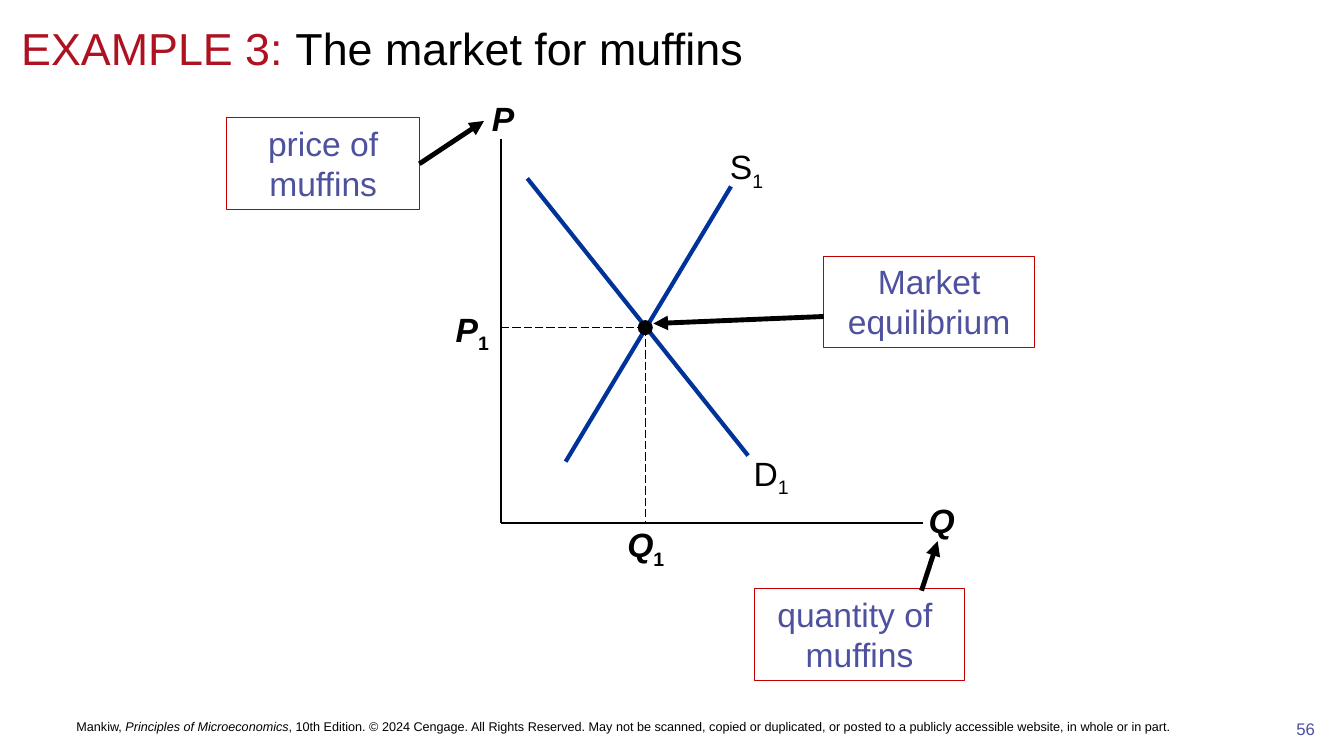
import pptx
import pptx.dml.color
import pptx.enum.dml
import pptx.enum.shapes
import pptx.enum.text
import pptx.oxml.ns
import pptx.util
from lxml import etree

Inches = pptx.util.Inches
Pt = pptx.util.Pt
ALIGN = pptx.enum.text.PP_ALIGN
ANCHOR = pptx.enum.text.MSO_ANCHOR
SHAPE = pptx.enum.shapes.MSO_SHAPE
BLACK, RED, CRIMSON, PURPLE, BLUE = "000000", "C00000", "AE1221", "4E519E", "003399"


def color(value):
    return pptx.dml.color.RGBColor.from_string(value)


def set_font(font, size, value):
    font.name = "Arial"
    font.size = Pt(size)
    font.color.rgb = color(value)


def add_text(slide, box, text, size=24, value=BLACK, align=ALIGN.CENTER, inset=True):
    shape = slide.shapes.add_textbox(*map(Inches, box))
    frame = shape.text_frame
    frame.word_wrap = True
    if not inset:
        frame.margin_left = frame.margin_top = frame.margin_right = frame.margin_bottom = 0
    paragraph = frame.paragraphs[0]
    paragraph.text = text
    paragraph.alignment = align
    set_font(paragraph.font, size, value)
    return shape


def add_symbol(slide, box, letter, subscript="", axis=False, inset=True):
    shape = add_text(slide, box, letter, inset=inset)
    paragraph = shape.text_frame.paragraphs[0]
    paragraph.font.bold = axis
    paragraph.runs[0].font.italic = axis
    if subscript:
        run = paragraph.add_run()
        run.text = subscript
        run._r.get_or_add_rPr().set("baseline", "-25000")


def add_line(slide, start, end, width, value=BLACK, dashed=False, arrow=False):
    line = slide.shapes.add_connector(
        pptx.enum.shapes.MSO_CONNECTOR.STRAIGHT, *map(Inches, (*start, *end)))
    line.line.width = Pt(width)
    line.line.color.rgb = color(value)
    if dashed:
        line.line.dash_style = pptx.enum.dml.MSO_LINE.LONG_DASH
    if arrow:
        tail = etree.SubElement(line.line._get_or_add_ln(), pptx.oxml.ns.qn("a:tailEnd"))
        tail.set("type", "triangle")
    etree.SubElement(line._element.spPr, pptx.oxml.ns.qn("a:effectLst"))
    return line


def build_title(slide, box):
    title = slide.shapes.title
    title.left, title.top, title.width, title.height = map(Inches, box)
    frame = title.text_frame
    frame.auto_size = pptx.enum.text.MSO_AUTO_SIZE.NONE
    frame.vertical_anchor = ANCHOR.MIDDLE
    paragraph = frame.paragraphs[0]
    paragraph.alignment = ALIGN.LEFT
    for text, value in (("EXAMPLE 3: ", CRIMSON), ("The market for muffins", BLACK)):
        run = paragraph.add_run()
        run.text = text
        set_font(run.font, 32, value)


def build_graph(slide, box):
    left, top, width, height = box

    def place(x, y, *size):
        return (left + x, top + y, *size)

    origin = place(0, height)
    add_line(slide, place(0, 0), origin, 1)
    add_line(slide, origin, place(width, height), 1)
    add_symbol(slide, place(-0.21, -0.46, 0.46, 0.5), "P", axis=True)
    add_symbol(slide, place(width - 0.06, height - 0.28, 0.5, 0.5), "Q", axis=True)

    add_line(slide, place(0.26, 0.39), place(2.45, 3.14), 3, BLUE)
    add_symbol(slide, place(2.38, 3.06, 0.6, 0.5), "D", "1")
    add_line(slide, place(0.64, 3.2), place(2.28, 0.47), 3, BLUE)
    add_symbol(slide, place(2.12, 0.02, 0.63, 0.5), "S", "1")

    x, y, diameter = 1.43, 1.87, 0.15
    add_line(slide, place(0, y), place(x, y), 0.75, dashed=True)
    add_line(slide, place(x, y), place(x, height), 0.75, dashed=True)
    dot = slide.shapes.add_shape(SHAPE.OVAL, *map(Inches, place(
        x - diameter / 2, y - diameter / 2, diameter, diameter)))
    dot.shadow.inherit = False
    dot.fill.solid()
    dot.fill.fore_color.rgb = color(BLACK)
    dot.line.fill.background()
    add_symbol(slide, place(-0.55, y - 0.19, 0.53, 0.4), "P", "1", axis=True, inset=False)
    add_symbol(slide, place(x - 0.26, height + 0.01, 0.53, 0.4), "Q", "1", axis=True, inset=False)


def build_callout(slide, box, text, start, end, side=None):
    left, top = box[:2]
    callout = slide.shapes.add_shape(SHAPE.RECTANGLE, *map(Inches, box))
    callout.shadow.inherit = False
    callout.fill.background()
    callout.line.color.rgb = color(RED)
    callout.line.width = Pt(0.75)
    frame = callout.text_frame
    frame.word_wrap = True
    frame.vertical_anchor = ANCHOR.TOP
    paragraph = frame.paragraphs[0]
    paragraph.text = text
    paragraph.alignment = ALIGN.CENTER
    set_font(paragraph.font, 24, PURPLE)
    arrow = add_line(slide, (left + start[0], top + start[1]),
                     (left + end[0], top + end[1]), 3.5, arrow=True)
    if side is not None:
        arrow.begin_connect(callout, side)


def build_footer(slide, box):
    left, top, width, height = box
    credit = add_text(slide, (left, top, width - 0.56, height), "", 9, align=ALIGN.LEFT)
    credit.text_frame.vertical_anchor = ANCHOR.MIDDLE
    paragraph = credit.text_frame.paragraphs[0]
    for text, italic in (
        ("Mankiw, ", False),
        ("Principles of Microeconomics", True),
        (", 10th Edition. © 2024 Cengage. All Rights Reserved. May not be scanned, copied or "
         "duplicated, or posted to a publicly accessible website, in whole or in part.", False),
    ):
        run = paragraph.add_run()
        run.text = text
        run.font.italic = italic
    add_text(slide, (left + width - 0.76, top + 0.16, 0.76, 0.41), "56", 12, PURPLE)


def main():
    presentation = pptx.Presentation()
    presentation.slide_width = Inches(13.33)
    presentation.slide_height = Inches(7.5)
    slide = presentation.slides.add_slide(presentation.slide_layouts[5])
    build_title(slide, (0.11, 0.11, 13, 0.72))
    build_graph(slide, (4.97, 1.38, 4.18, 3.81))
    build_callout(slide, (2.25, 1.17, 1.91, 0.91), "price of muffins",
                  (1.91, 0.45), (2.55, 0.03), side=3)
    build_callout(slide, (7.48, 5.84, 2.09, 0.91), "quantity of \vmuffins",
                  (1.66, 0.02), (1.82, -0.47))
    build_callout(slide, (8.17, 2.54, 2.09, 0.91), "Market equilibrium",
                  (0, 0.6), (-1.69, 0.67))
    build_footer(slide, (0.66, 6.92, 12.67, 0.58))
    presentation.save("out.pptx")


if __name__ == "__main__":
    main()
